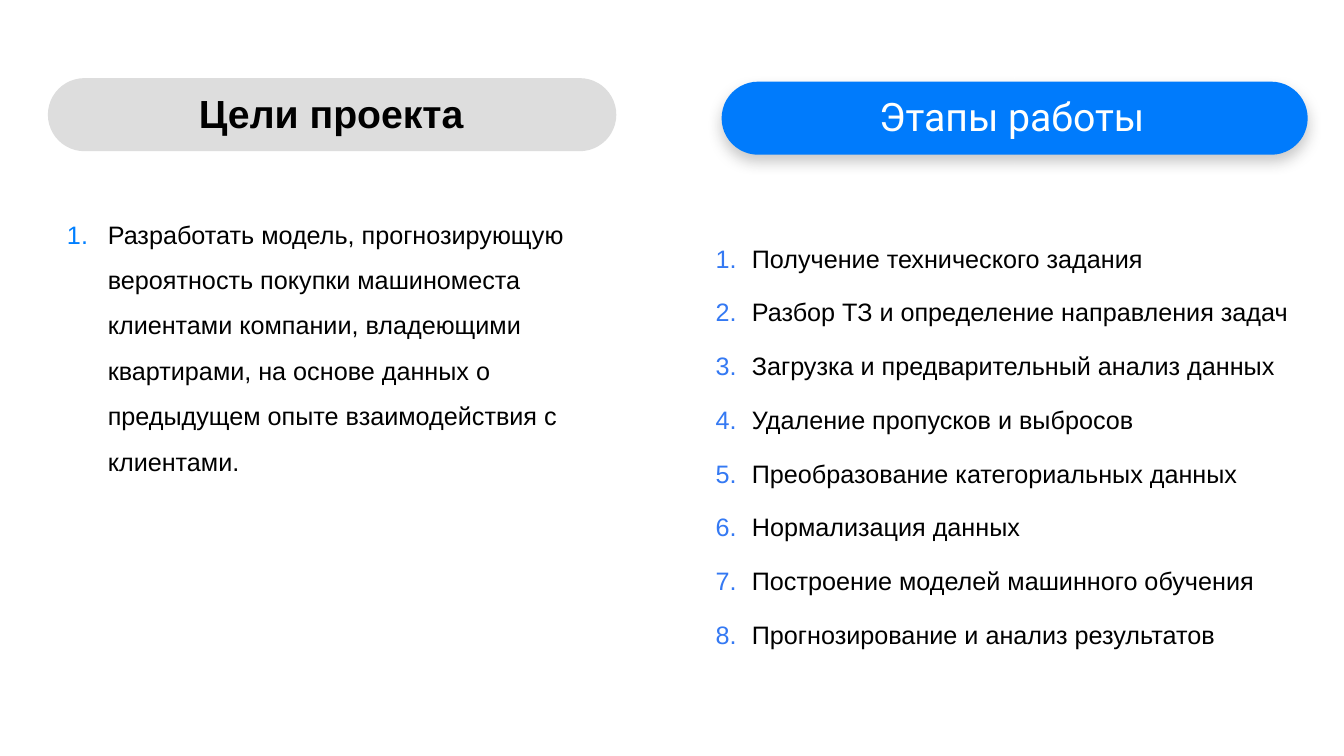
from dataclasses import dataclass

from lxml.etree import SubElement
from pptx import Presentation
from pptx.dml.color import RGBColor
from pptx.enum.shapes import MSO_SHAPE
from pptx.enum.text import MSO_ANCHOR, PP_ALIGN
from pptx.oxml import parse_xml
from pptx.oxml.ns import nsdecls, qn
from pptx.util import Inches, Pt

BLACK = RGBColor(0x00, 0x00, 0x00)
WHITE = RGBColor(0xFE, 0xFF, 0xFE)
GREY = RGBColor(0xDD, 0xDD, 0xDD)
BLUE = RGBColor(0x00, 0x7B, 0xFC)
GOAL_NUMBER = RGBColor(0x00, 0x7F, 0xFF)
STAGE_NUMBER = RGBColor(0x34, 0x79, 0xF3)

GOALS = [
    "Разработать модель, прогнозирующую вероятность покупки машиноместа "
    "клиентами компании, владеющими квартирами, на основе данных о "
    "предыдущем опыте взаимодействия с клиентами.",
]
STAGES = [
    "Получение технического задания",
    "Разбор ТЗ и определение направления задач",
    "Загрузка и предварительный анализ данных",
    "Удаление пропусков и выбросов",
    "Преобразование категориальных данных",
    "Нормализация данных",
    "Построение моделей машинного обучения",
    "Прогнозирование и анализ результатов",
]


@dataclass(frozen=True)
class Box:
    left: float
    top: float
    width: float
    height: float

    def lengths(self) -> list:
        return [Inches(v) for v in (self.left, self.top, self.width, self.height)]


@dataclass(frozen=True)
class NumberedList:
    box: Box
    items: list
    number_color: RGBColor
    indent: float
    space_before: float
    inset: float
    anchor: MSO_ANCHOR


LISTS = [
    NumberedList(Box(14.19, 4.51, 11.86, 8.36), STAGES, STAGE_NUMBER,
                 0.72, 12, 0.01, MSO_ANCHOR.TOP),
    NumberedList(Box(1.27, 4.02, 10.44, 5.45), GOALS, GOAL_NUMBER,
                 0.81, 8, 0.06, MSO_ANCHOR.MIDDLE),
]


def set_font(font, color: RGBColor, **values) -> None:
    for name, value in values.items():
        setattr(font, name, value)
    font.color.rgb = color


def format_frame(frame, inset: float, anchor: MSO_ANCHOR) -> None:
    frame.word_wrap = True
    frame.vertical_anchor = anchor
    for side in ("left", "top", "right", "bottom"):
        setattr(frame, f"margin_{side}", Inches(inset))


def add_pill(slide, box: Box, color: RGBColor):
    pill = slide.shapes.add_shape(MSO_SHAPE.ROUNDED_RECTANGLE, *box.lengths())
    pill.adjustments[0] = 0.5
    pill.fill.solid()
    pill.fill.fore_color.rgb = color
    pill.line.fill.background()
    pill.shadow.inherit = False
    return pill


def add_drop_shadow(shape) -> None:
    effects = shape._element.spPr.find(qn("a:effectLst"))
    effects.append(parse_xml(
        f'<a:outerShdw {nsdecls("a")} blurRad="{Pt(20)}" dist="{Pt(10)}" '
        'dir="5400000" rotWithShape="0"><a:srgbClr val="2C2C2C">'
        '<a:alpha val="25000"/></a:srgbClr></a:outerShdw>'))


def write_heading(shape, box: Box, text: str, color: RGBColor, **font) -> None:
    shape.left, shape.top, shape.width, shape.height = box.lengths()
    format_frame(shape.text_frame, 0.06, MSO_ANCHOR.TOP)
    paragraph = shape.text_frame.paragraphs[0]
    paragraph.alignment = PP_ALIGN.CENTER
    run = paragraph.add_run()
    run.text = text
    set_font(run.font, color, size=Pt(56), **font)


def number_paragraph(paragraph, color: RGBColor, indent: float) -> None:
    properties = paragraph._p.get_or_add_pPr()
    properties.set("marL", str(Inches(indent)))
    properties.set("indent", str(-Inches(indent)))
    bullet_color = SubElement(properties, qn("a:buClr"))
    SubElement(bullet_color, qn("a:srgbClr"), val=str(color))
    SubElement(properties, qn("a:buFontTx"))
    SubElement(properties, qn("a:buAutoNum"), type="arabicPeriod")


def add_numbered_list(slide, numbered: NumberedList) -> None:
    frame = slide.shapes.add_textbox(*numbered.box.lengths()).text_frame
    format_frame(frame, numbered.inset, numbered.anchor)
    for index, item in enumerate(numbered.items):
        paragraph = frame.add_paragraph() if index else frame.paragraphs[0]
        number_paragraph(paragraph, numbered.number_color, numbered.indent)
        paragraph.line_spacing = 1.5
        if index:
            paragraph.space_before = Pt(numbered.space_before)
        run = paragraph.add_run()
        run.text = item
        set_font(run.font, BLACK, size=Pt(36), name="Arial")


def main() -> None:
    presentation = Presentation()
    presentation.slide_width = Inches(26.67)
    presentation.slide_height = Inches(15)
    slide = presentation.slides.add_slide(presentation.slide_layouts[5])

    add_drop_shadow(add_pill(slide, Box(14.32, 1.62, 11.63, 1.45), BLUE))
    add_pill(slide, Box(0.95, 1.55, 11.28, 1.45), GREY)

    title = slide.shapes.title
    slide.shapes._spTree.append(title._element)  # bring in front of the pills
    write_heading(title, Box(1.44, 1.71, 10.27, 1.52), "Цели проекта", BLACK,
                  name="Arial", bold=True)
    stages_box = Box(14.11, 1.77, 11.94, 1.45)
    stages_heading = slide.shapes.add_textbox(*stages_box.lengths())
    write_heading(stages_heading, stages_box, "Этапы работы", WHITE, name="Roboto")

    for numbered in LISTS:
        add_numbered_list(slide, numbered)
    presentation.save("out.pptx")


if __name__ == "__main__":
    main()
